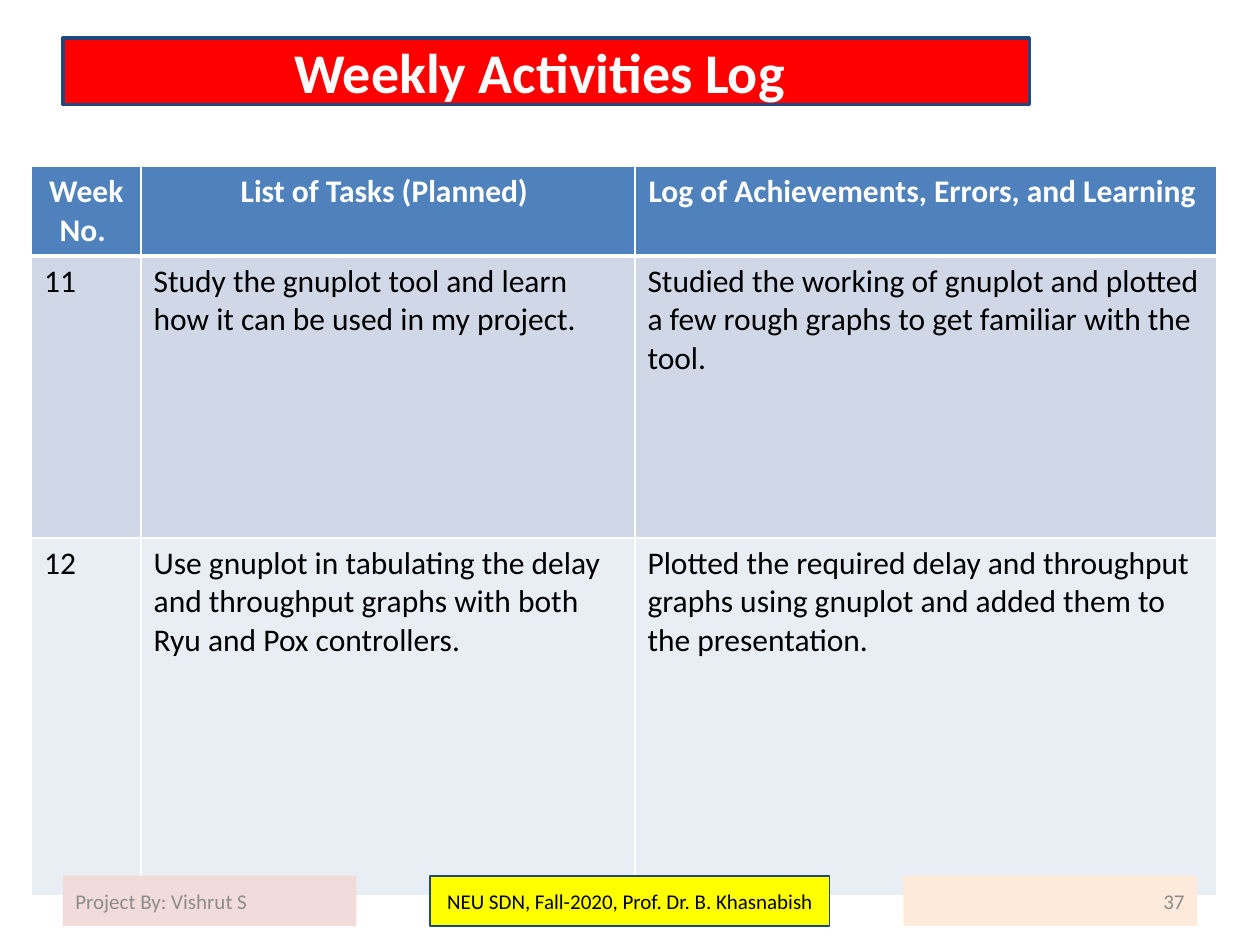
from dataclasses import dataclass

from lxml import etree
from pptx import Presentation
from pptx.dml.color import RGBColor
from pptx.enum import shapes, text
from pptx.oxml import ns
from pptx.util import Inches, Pt


@dataclass(frozen=True)
class Theme:
    font: str = "Calibri"
    title_size: int = 32
    table_size: int = 18
    footer_size: int = 12
    white: str = "FFFFFF"
    black: str = "000000"
    grey: str = "8C8C8C"
    navy: str = "1F497D"
    red: str = "FF0000"
    yellow: str = "FFFF00"
    rose: str = "F2DCDB"
    peach: str = "FDEADA"
    header: str = "4F81BD"
    bands: tuple = ("D0D8E8", "E9EDF4")


THEME = Theme()
ALIGN = text.PP_ALIGN
HEADINGS = ("Week No. ", "List of Tasks (Planned) ",
            "Log of Achievements, Errors, and Learning ")
WEEKS = (
    ("11", "Study the gnuplot tool and learn how it can be used in my project.",
     "Studied the working of gnuplot and plotted a few rough graphs to get "
     "familiar with the tool."),
    ("12", "Use gnuplot in tabulating the delay and throughput graphs with both "
     "Ryu and Pox controllers.",
     "Plotted the required delay and throughput graphs using gnuplot and added "
     "them to the presentation."),
)
COLUMN_WIDTHS = (0.87, 3.92, 4.62)
ROW_HEIGHTS = (0.71, 2.24, 2.84)


def write(frame, words, size, color, align, bold=False):
    frame.word_wrap = True
    paragraph = frame.paragraphs[0]
    paragraph.text = words
    paragraph.alignment = align
    font = paragraph.font
    font.name, font.size, font.bold = THEME.font, Pt(size), bold
    font.color.rgb = RGBColor.from_string(color)


def add_label(slide, box, words, fill, size, color, align, line_width=0, bold=False):
    label = slide.shapes.add_shape(
        shapes.MSO_SHAPE.RECTANGLE, *(Inches(length) for length in box))
    label.shadow.inherit = False
    label.fill.solid()
    label.fill.fore_color.rgb = RGBColor.from_string(fill)
    if line_width:
        label.line.color.rgb = RGBColor.from_string(THEME.navy)
        label.line.width = Pt(line_width)
    else:
        label.line.fill.background()
    label.text_frame.vertical_anchor = text.MSO_ANCHOR.MIDDLE
    write(label.text_frame, words, size, color, align, bold)


def set_borders(cell, widths):
    """Draw white borders; widths are points for left, right, top, bottom."""
    properties = cell._tc.get_or_add_tcPr()
    for index, (side, width) in enumerate(zip("LRTB", widths)):
        line = etree.Element(ns.qn(f"a:ln{side}"), w=str(Pt(width)))
        fill = etree.SubElement(line, ns.qn("a:solidFill"))
        etree.SubElement(fill, ns.qn("a:srgbClr"), val=THEME.white)
        properties.insert(index, line)


def add_title(slide, box):
    add_label(slide, box, "Weekly Activities Log ", THEME.red, THEME.title_size,
              THEME.white, ALIGN.CENTER, line_width=2, bold=True)


def add_log(slide, left, top):
    rows = (HEADINGS, *WEEKS)
    log = slide.shapes.add_table(
        len(rows), len(HEADINGS), Inches(left), Inches(top),
        Inches(sum(COLUMN_WIDTHS)), Inches(sum(ROW_HEIGHTS))).table
    for column, width in zip(log.columns, COLUMN_WIDTHS):
        column.width = Inches(width)
    for row, height in zip(log.rows, ROW_HEIGHTS):
        row.height = Inches(height)
    for r, (row, fill) in enumerate(zip(rows, (THEME.header, *THEME.bands))):
        is_header = r == 0
        for c, words in enumerate(row):
            cell = log.cell(r, c)
            cell.fill.solid()
            cell.fill.fore_color.rgb = RGBColor.from_string(fill)
            set_borders(cell, (1, 1, 3 if r == 1 else 1, 3 if is_header else 1))
            write(cell.text_frame, words, THEME.table_size,
                  THEME.white if is_header else THEME.black,
                  ALIGN.CENTER if is_header else ALIGN.LEFT, is_header)


def add_footer(slide, left, top, width, height):
    """Place author, course and page number at the left, centre and right."""
    side, middle = 2.33, 3.17
    parts = (
        (left, side, "Project By: Vishrut S", THEME.rose, THEME.grey, ALIGN.LEFT, 0),
        (left + (width - middle) / 2, middle,
         "NEU SDN, Fall-2020, Prof. Dr. B. Khasnabish",
         THEME.yellow, THEME.black, ALIGN.CENTER, 1),
        (left + width - side, side, "37", THEME.peach, THEME.grey, ALIGN.RIGHT, 0),
    )
    for x, part_width, words, fill, color, align, line_width in parts:
        add_label(slide, (x, top, part_width, height), words, fill,
                  THEME.footer_size, color, align, line_width)


def main():
    deck = Presentation()
    deck.slide_width, deck.slide_height = Inches(10), Inches(7.5)
    slide = deck.slides.add_slide(deck.slide_layouts[6])
    add_title(slide, (0.5, 0.3, 7.67, 0.53))
    add_log(slide, 0.25, 1.32)
    add_footer(slide, 0.5, 6.95, 9, 0.4)
    deck.save("out.pptx")


if __name__ == "__main__":
    main()
